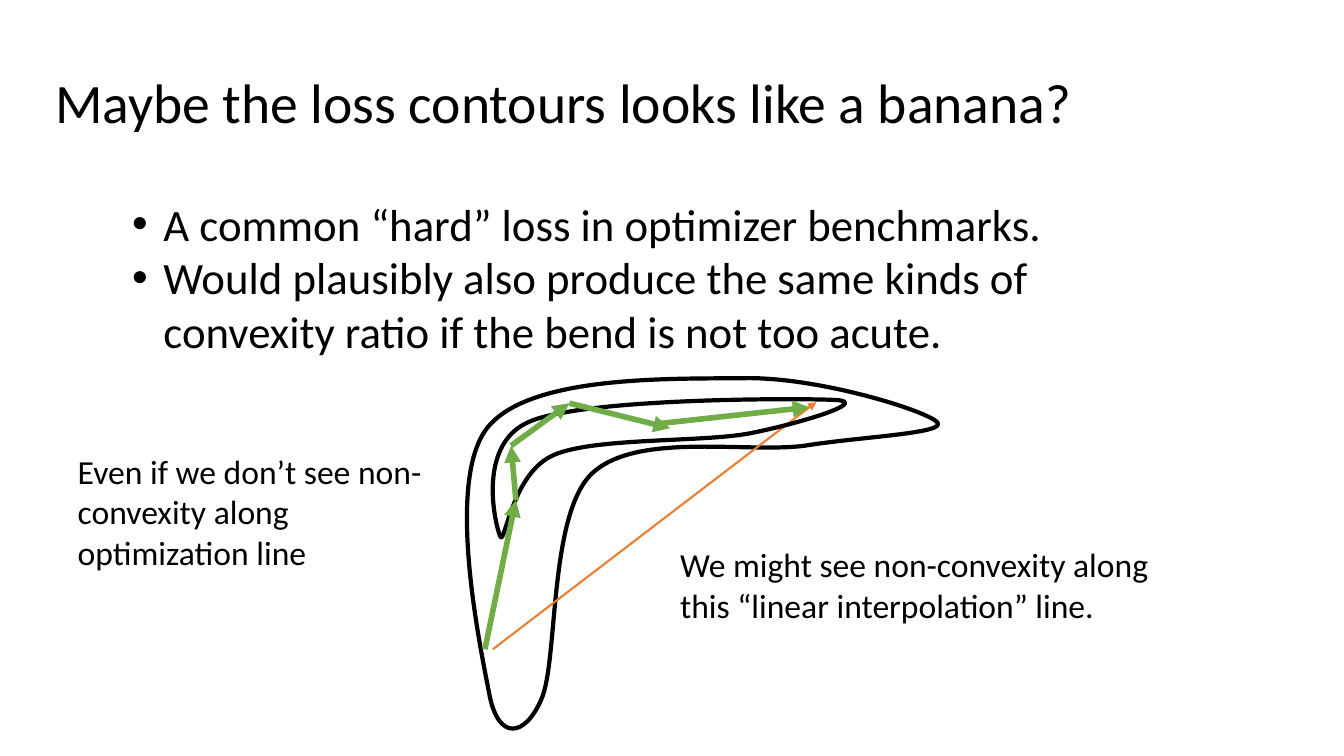
"""Builds the slide on banana-shaped loss contours."""
from itertools import pairwise

from lxml import etree
from pptx import Presentation
from pptx import util as u
from pptx.dml.color import RGBColor
from pptx.enum import shapes, text
from pptx.oxml import ns

BLACK = RGBColor(0x00, 0x00, 0x00)
GREEN = RGBColor(0x70, 0xAD, 0x47)
ORANGE = RGBColor(0xED, 0x7D, 0x31)

OUTER_BOX = (11.76, 9.53, 11.89, 8.84)
OUTER_CONTOUR = [
    (12.34, 17.53), (12.12, 16.38), (11.2, 12.12), (12.29, 10.77),
    (13.36, 9.45), (16.87, 9.55), (18.77, 9.53),
    (20.65, 9.5), (23.37, 10.36), (23.62, 10.64),
    (23.88, 10.92), (21.74, 11), (20.29, 11.23),
    (18.82, 11.43), (16.03, 10.87), (14.91, 11.94),
    (13.82, 13), (14.07, 16.69), (13.64, 17.63),
    (13.23, 18.57), (12.57, 18.67), (12.34, 17.53),
]
INNER_BOX = (12.42, 10.06, 8.89, 3.48)
INNER_CONTOUR = [
    (12.62, 13.54), (12.52, 13.39), (11.94, 11.2), (13.36, 10.62),
    (14.76, 10.03), (20.12, 10.03), (21.06, 10.08),
    (21.97, 10.13), (20.07, 10.69), (18.9, 10.92),
    (17.7, 11.15), (15.01, 11.02), (13.97, 11.46),
    (12.93, 11.89), (12.73, 13.67), (12.62, 13.54),
]
OPTIMIZER_START = [(12.22, 16.36), (13, 12.6), (12.88, 11.23), (14.35, 10.16)]
OPTIMIZER_END = [
    ((14.35, 10.16), (16.89, 10.79)),
    ((16.64, 10.67), (20.4, 10.26)),
]


class Deck:
    """Holds the style and the current slide."""

    font = "Calibri"
    bullet_indent = u.Cm(0.79)

    def __init__(self):
        self.presentation = Presentation()
        self.presentation.slide_width = u.Cm(33.87)
        self.presentation.slide_height = u.Cm(19.05)
        layout = self.presentation.slide_layouts[6]
        self.slide = self.presentation.slides.add_slide(layout)

    def apply(self, target, values):
        """Sets each attribute named in values."""
        for name, value in values.items():
            setattr(target, name, value)

    def text_box(self, box, lines, size, bullets=False, spacing=None, **frame_format):
        """Adds a wrapped text box with one paragraph per line."""
        shape = self.slide.shapes.add_textbox(*map(u.Cm, box))
        frame = shape.text_frame
        self.apply(frame, {"word_wrap": True, **frame_format})
        for index, line in enumerate(lines):
            paragraph = frame.add_paragraph() if index else frame.paragraphs[0]
            paragraph.line_spacing = spacing
            if bullets:
                self.bullet(paragraph)
            run = paragraph.add_run()
            run.text = line
            self.apply(run.font, {"name": self.font, "size": u.Pt(size)})
            run.font.color.rgb = BLACK

    def bullet(self, paragraph):
        """Gives a paragraph a hanging round bullet."""
        properties = paragraph._p.get_or_add_pPr()
        properties.set("marL", str(self.bullet_indent))
        properties.set("indent", str(-self.bullet_indent))
        etree.SubElement(properties, ns.qn("a:buFont"), typeface="Arial")
        etree.SubElement(properties, ns.qn("a:buChar"), char="•")

    def contour(self, box, points):
        """Draws a closed outline of cubic curves inside a box."""
        left, top, width, height = map(u.Cm, box)
        builder = self.slide.shapes.build_freeform(left, top)
        builder.add_line_segments([(left + width, top + height)])
        shape = builder.convert_to_shape()
        shape.shadow.inherit = False
        shape.fill.background()
        self.apply(shape.line, {"width": u.Pt(3)})
        shape.line.color.rgb = BLACK

        outline = next(shape._element.iter(ns.qn("a:path")))
        for segment in list(outline):
            outline.remove(segment)
        groups = [points[:1]] + [points[i:i + 3] for i in range(1, len(points), 3)]
        for index, group in enumerate(groups):
            tag = "a:cubicBezTo" if index else "a:moveTo"
            segment = etree.SubElement(outline, ns.qn(tag))
            for x, y in group:
                etree.SubElement(segment, ns.qn("a:pt"),
                                 x=str(u.Cm(x) - left), y=str(u.Cm(y) - top))
        etree.SubElement(outline, ns.qn("a:close"))

    def arrow(self, start, end, color, width):
        """Draws a straight arrow that points at its end."""
        connector = self.slide.shapes.add_connector(
            shapes.MSO_CONNECTOR.STRAIGHT, *map(u.Cm, (*start, *end)))
        connector.line.color.rgb = color
        connector.line.width = u.Pt(width)
        etree.SubElement(connector.line._get_or_add_ln(), ns.qn("a:tailEnd"), type="triangle")
        etree.SubElement(connector._element.spPr, ns.qn("a:effectLst"))


def main():
    """Builds and saves the slide."""
    deck = Deck()
    inset = u.Cm(0.25)
    deck.text_box(
        (1.14, 1.65, 31.55, 2.13), ["Maybe the loss contours looks like a banana?"], 39.7,
        spacing=0.9, vertical_anchor=text.MSO_ANCHOR.TOP,
        margin_top=inset, margin_bottom=inset)
    deck.contour(OUTER_BOX, OUTER_CONTOUR)
    deck.arrow((12.42, 16.36), (20.57, 10.13), ORANGE, 1.5)
    deck.text_box(
        (16.89, 13.59, 12.34, 2.31),
        ["We might see non-convexity along this “linear interpolation” line."], 24)
    deck.text_box(
        (3.08, 4.82, 26.16, 4.37),
        ["A common “hard” loss in optimizer benchmarks.",
         "Would plausibly also produce the same kinds of convexity ratio "
         "if the bend is not too acute."], 32, bullets=True)
    deck.contour(INNER_BOX, INNER_CONTOUR)
    deck.text_box(
        (1.71, 11.24, 9.32, 3.33),
        ["Even if we don’t see non-convexity along optimization line"], 24)
    for start, end in [*pairwise(OPTIMIZER_START), *OPTIMIZER_END]:
        deck.arrow(start, end, GREEN, 4)
    deck.presentation.save("out.pptx")


if __name__ == "__main__":
    main()
